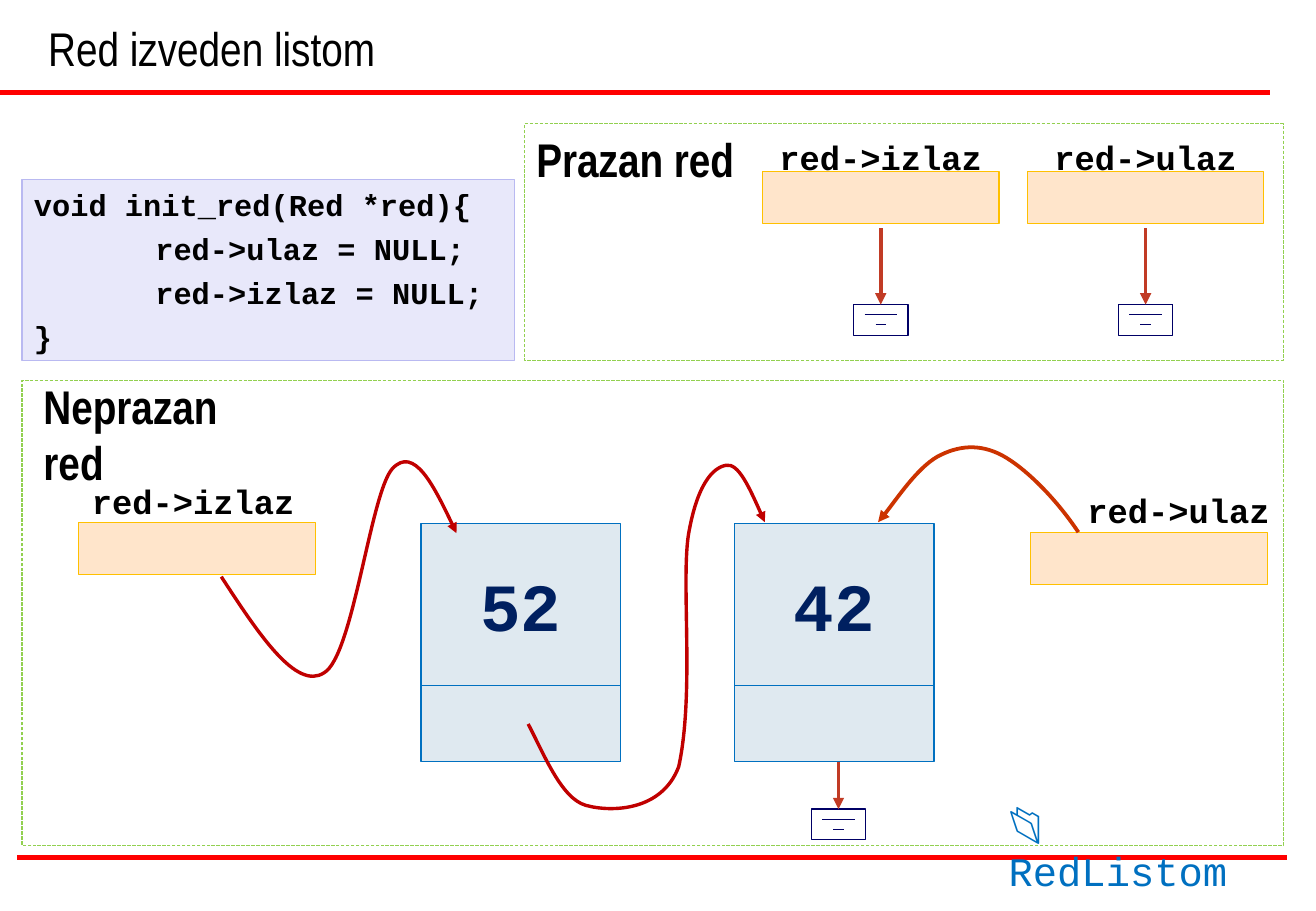
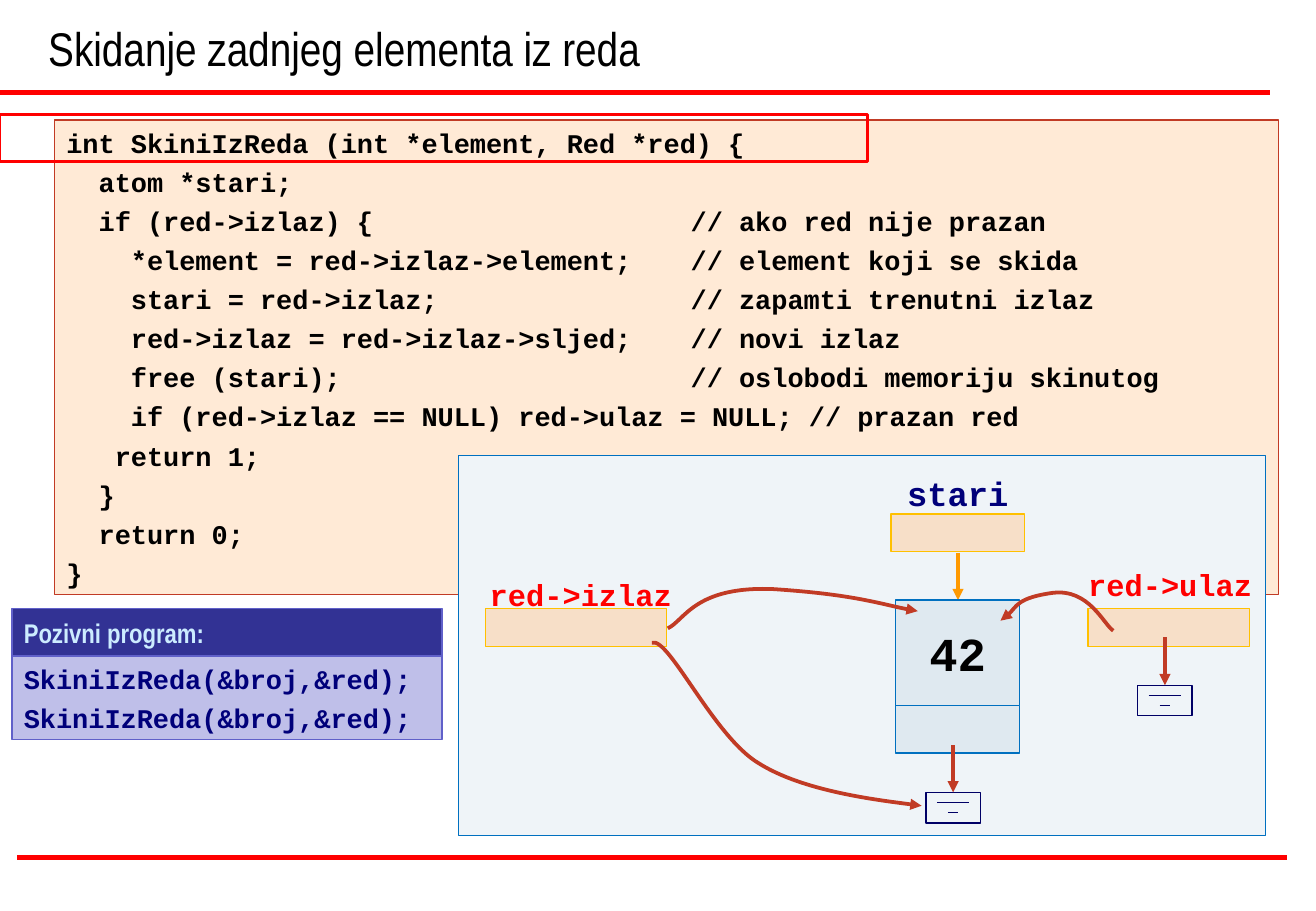
import lxml.etree
import pptx
import pptx.dml.color
import pptx.enum.dml
import pptx.enum.shapes
import pptx.enum.text
import pptx.oxml.ns
import pptx.util

Cm, Pt = pptx.util.Cm, pptx.util.Pt
qn = pptx.oxml.ns.qn
ALIGN = pptx.enum.text.PP_ALIGN
ANCHOR = pptx.enum.text.MSO_ANCHOR
RECT = pptx.enum.shapes.MSO_SHAPE.RECTANGLE
STRAIGHT = pptx.enum.shapes.MSO_CONNECTOR.STRAIGHT
DASH = pptx.enum.dml.MSO_LINE.SQUARE_DOT

# Shared colours and text formats
BLACK, RED, NAVY, BLUE = "000000", "FF0000", "00007A", "0070C0"
PEACH, GOLD, RUST, CRIMSON = "FFCC99", "FFC000", "C13B25", "C00000"
NODE_FILL, NULL_LINE, GREEN = "DFE9F0", "000066", "92D050"
VIOLET = "6060C9"
SANS, MONO = "Arial Narrow", "Courier New"
TITLE = {"name": SANS, "size": Pt(28), "bold": False}
CAPTION = {"name": SANS, "size": Pt(28), "bold": True}
LABEL = {"name": MONO, "size": Pt(20), "bold": True}
SMALL_LABEL = {**LABEL, "size": Pt(18)}
CODE = {**LABEL, "size": Pt(16)}


def color(hex_value):
    return pptx.dml.color.RGBColor.from_string(hex_value)


def set_line(line, hex_value, width, dashed=False, arrow=False):
    line.color.rgb = color(hex_value)
    line.width = Pt(width)
    if dashed:
        line.dash_style = DASH
    if arrow:
        lxml.etree.SubElement(line._get_or_add_ln(), qn("a:tailEnd"), type="triangle")


def set_fill(shape, hex_value, opacity):
    if hex_value is None:
        shape.fill.background()
        return
    shape.fill.solid()
    shape.fill.fore_color.rgb = color(hex_value)
    if opacity < 100:
        tone = shape.fill._xPr.find(".//" + qn("a:srgbClr"))
        lxml.etree.SubElement(tone, qn("a:alpha"), val=str(opacity * 1000))


def add_run(paragraph, text, fmt, ink):
    run = paragraph.add_run()
    run.text = text
    for attribute, value in fmt.items():
        setattr(run.font, attribute, value)
    run.font.color.rgb = color(ink)


def write(shape, lines, fmt, ink=BLACK, align=ALIGN.LEFT, anchor=ANCHOR.TOP,
          wrap=False, gap=0, tab=None):
    frame = shape.text_frame
    settings = {"word_wrap": wrap, "vertical_anchor": anchor,
                "margin_left": Cm(0.25), "margin_right": Cm(0.25),
                "margin_top": Cm(0.13), "margin_bottom": Cm(0.13)}
    for attribute, value in settings.items():
        setattr(frame, attribute, value)
    for number, text in enumerate(lines):
        paragraph = frame.add_paragraph() if number else frame.paragraphs[0]
        paragraph.alignment = align
        if number:
            paragraph.space_before = Pt(gap)
        if tab:
            stops = lxml.etree.SubElement(paragraph._p.get_or_add_pPr(), qn("a:tabLst"))
            lxml.etree.SubElement(stops, qn("a:tab"), pos=str(Cm(tab)), algn="l")
        add_run(paragraph, text, fmt, ink)


def add_box(shapes, x, y, w, h, fill, outline, width=0.75, opacity=100, dashed=False):
    box = shapes.add_shape(RECT, Cm(x), Cm(y), Cm(w), Cm(h))
    box.shadow.inherit = False
    set_fill(box, fill, opacity)
    set_line(box.line, outline, width, dashed)
    return box


def add_text(shapes, x, y, w, h, text, fmt, **layout):
    box = shapes.add_textbox(Cm(x), Cm(y), Cm(w), Cm(h))
    write(box, [text], fmt, **layout)
    return box


def add_line(shapes, x1, y1, x2, y2, ink, width, arrow=False):
    line = shapes.add_connector(STRAIGHT, Cm(x1), Cm(y1), Cm(x2), Cm(y2))
    set_line(line.line, ink, width, arrow=arrow)
    lxml.etree.SubElement(line._element.spPr, qn("a:effectLst"))


def add_curve(shapes, x, y, points, ink, width):
    """Smooth arrow: a start point, then three points for each Bézier piece."""
    spots = [(Cm(x + px), Cm(y + py)) for px, py in points]
    builder = shapes.build_freeform(*spots[0])
    builder.add_line_segments(spots[1:], close=False)
    arrow = builder.convert_to_shape()
    steps = arrow._element.xpath(".//a:lnTo")
    for first in range(0, len(steps), 3):
        bend = lxml.etree.Element(qn("a:cubicBezTo"))
        steps[first].addprevious(bend)
        for step in steps[first:first + 3]:
            bend.append(step[0])
            step.getparent().remove(step)
    arrow.shadow.inherit = False
    arrow.fill.background()
    set_line(arrow.line, ink, width, arrow=True)


# Parts of the queue drawings
def pointer(shapes, x, y, w, h, text, fmt, ink=BLACK, shift=0, lift=0.84):
    add_box(shapes, x, y, w, h, PEACH, GOLD, opacity=50)
    label_w = 4.8
    add_text(shapes, x + (w - label_w) / 2 + shift, y - lift, label_w, 1.12, text,
             fmt, ink=ink, align=ALIGN.CENTER)


def null_end(shapes, center, y, stem):
    w, h, step_x, step_y = 1.14, 0.64, 0.23, 0.21
    x = center - w / 2
    symbol = shapes.add_group_shape().shapes
    for i in range(3):
        add_line(symbol, x + i * step_x, y + i * step_y,
                 x + w - i * step_x, y + i * step_y, NULL_LINE, 0.75)
    add_box(symbol, x, y, w, h, None, NULL_LINE)
    add_line(shapes, center, y - stem, center, y, RUST, 2.25, arrow=True)


def node(shapes, x, y, w, value_h, next_h, value, fmt, ink):
    add_box(shapes, x, y + value_h, w, next_h, NODE_FILL, BLUE)
    value_box = add_box(shapes, x, y, w, value_h, NODE_FILL, BLUE)
    write(value_box, [value], fmt, ink, ALIGN.CENTER, ANCHOR.MIDDLE)


# Regions
def titled_slide(deck, title):
    shapes = deck.slides.add_slide(deck.slide_layouts[6]).shapes
    for x, y in ((0, 1.93), (0.36, 17.93)):
        add_line(shapes, x, y, x + 26.57, y, RED, 3)
    add_text(shapes, 0.76, 0, 25.81, 1.73, title, TITLE,
             anchor=ANCHOR.BOTTOM, wrap=True)
    return shapes


def empty_queue(shapes, x, y, w, h):
    add_box(shapes, x, y, w, h, None, GREEN, dashed=True)
    add_text(shapes, x, y, 4.65, 1.45, "Prazan red", CAPTION)
    pointer_w, pitch = 4.95, 5.54
    for i, name in enumerate(("red->izlaz", "red->ulaz")):
        left = x + 4.98 + i * pitch
        pointer(shapes, left, y + 0.99, pointer_w, 1.09, name, LABEL)
        null_end(shapes, left + pointer_w / 2, y + 3.78, 1.6)


def filled_queue(shapes, x, y, w, h):
    for i, value in enumerate(("52", "42")):
        node(shapes, x + 8.35 + i * 6.56, y + 3, 4.17, 3.38, 1.6, value,
             {**LABEL, "size": Pt(40)}, "002060")
    add_text(shapes, x + 0.2, y - 0.2, 5.61, 1.45, "Neprazan red", CAPTION)
    add_box(shapes, x, y, w, h, None, GREEN, dashed=True)
    pointer(shapes, x + 1.19, y + 2.97, 4.95, 1.09, "red->izlaz", LABEL,
            shift=-0.08, lift=0.99)
    pointer(shapes, x + 21.1, y + 3.18, 4.95, 1.09, "red->ulaz", LABEL,
            shift=0.62, lift=1.02)
    null_end(shapes, x + 17.08, y + 8.97, 0.99)

    # Arrows to the first node, between the nodes, and to the last node
    to_first = [(4.17, 4.11), (4.95, 5.31), (5.74, 6.5), (6.32, 6.12), (6.93, 5.77),
                (7.29, 2.36), (7.75, 1.85), (8.2, 1.37), (8.66, 2.29), (9.09, 3.2)]
    to_next = [(10.59, 7.19), (10.92, 7.82), (11.28, 8.74), (11.79, 8.89),
               (12.32, 9.04), (13.39, 9.02), (13.74, 8.08), (14.07, 6.55),
               (13.79, 4.29), (13.94, 3.25), (14.12, 2.18), (14.45, 1.83),
               (14.73, 1.78), (14.99, 1.73), (15.27, 2.36), (15.54, 2.97)]
    to_last = [(22.1, 3.18), (21.62, 2.46), (20.98, 1.83), (20.5, 1.57),
               (20.02, 1.32), (19.58, 1.37), (19.15, 1.6), (18.72, 1.85),
               (18.16, 2.69), (17.91, 2.97)]
    for points, ink, width in ((to_first, CRIMSON, 2), (to_next, CRIMSON, 2),
                               (to_last, "CC3300", 2.25)):
        add_curve(shapes, x, y, points, ink, width)

    # Folder reference
    reference = {"name": "Arial", "size": Pt(24)}
    folder = add_text(shapes, x + 19.12, y + 8.59, 7.16, 1.27, "📂 ", reference,
                      ink=BLUE, wrap=True)
    folder.text_frame.margin_left = Cm(1.52)
    add_run(folder.text_frame.paragraphs[0], "RedListom",
            {**reference, "name": MONO}, BLUE)


def removal_diagram(shapes, x, y, w, h):
    add_box(shapes, x, y, w, h, "EFF4F8", BLUE)
    pointer(shapes, x + 0.56, y + 3.2, 3.78, 0.79, "red->izlaz", SMALL_LABEL, RED,
            shift=0.1, lift=0.81)
    pointer(shapes, x + 13.16, y + 3.2, 3.38, 0.79, "red->ulaz", SMALL_LABEL, RED,
            shift=0.03, lift=1.02)
    pointer(shapes, x + 9.04, y + 1.22, 2.79, 0.79, "stari", LABEL, NAVY, lift=0.99)
    add_line(shapes, x + 10.44, y + 2.03, x + 10.44, y + 3.02, "FF9900", 2.25, arrow=True)
    node(shapes, x + 9.14, y + 3.02, 2.59, 2.21, 0.99, "42",
         {**LABEL, "size": Pt(28)}, BLACK)
    null_end(shapes, x + 10.34, y + 7.04, 0.99)
    null_end(shapes, x + 14.77, y + 4.8, 1)

    # Pointer arrows: last node, first node, new empty state
    for points in (
        [(13.69, 3.66), (13.49, 3.53), (13.18, 2.77), (12.42, 2.87),
         (11.68, 2.97), (11.56, 3.33), (11.33, 3.45)],
        [(4.37, 3.61), (4.72, 3.45), (4.93, 2.72), (6.58, 2.79),
         (8.26, 2.9), (8.97, 3.15), (9.6, 3.25)],
        [(4.04, 3.91), (4.39, 3.78), (5.33, 5.87), (6.27, 6.43),
         (7.19, 7.01), (9.04, 7.24), (9.68, 7.32)],
    ):
        add_curve(shapes, x, y, points, RUST, 2.25)


def calling_program(shapes, x, y, w, header_h, body_h):
    header = add_box(shapes, x, y, w, header_h, "323294", VIOLET)
    write(header, ["Pozivni program:"], {**CAPTION, "size": Pt(16)}, "CCECFF",
          anchor=ANCHOR.MIDDLE)
    body = add_box(shapes, x, y + header_h, w, body_h, VIOLET, VIOLET, opacity=40)
    write(body, ["SkiniIzReda(&broj,&red);"] * 2, CODE, NAVY, wrap=True, gap=4)


INIT_CODE = """void init_red(Red *red){
\tred->ulaz = NULL;
\tred->izlaz = NULL;
}"""

REMOVE_CODE = """int SkiniIzReda (int *element, Red *red) {
  atom *stari;
  if (red->izlaz) {\t// ako red nije prazan
    *element = red->izlaz->element;\t// element koji se skida
    stari = red->izlaz;\t// zapamti trenutni izlaz
    red->izlaz = red->izlaz->sljed;\t// novi izlaz
    free (stari);\t// oslobodi memoriju skinutog
    if (red->izlaz == NULL) red->ulaz = NULL; // prazan red
   return 1;
  }
  return 0;
}"""


def main():
    deck = pptx.Presentation()
    deck.slide_width, deck.slide_height = Cm(27.53), Cm(19.05)

    # Queue as a list
    shapes = titled_slide(deck, "Red izveden listom")
    empty_queue(shapes, 10.97, 2.59, 15.88, 4.95)
    filled_queue(shapes, 0.46, 7.95, 26.39, 9.73)
    init_box = add_box(shapes, 0.46, 3.76, 10.31, 3.78, "E8E8FA", "B9B9F1")
    write(init_box, INIT_CODE.split("\n"), SMALL_LABEL, wrap=True, gap=4.5, tab=2.54)

    # Removing an element
    shapes = titled_slide(deck, "Skidanje zadnjeg elementa iz reda")
    remove_box = add_box(shapes, 1.14, 2.51, 25.6, 9.93, PEACH, RUST, opacity=40)
    write(remove_box, REMOVE_CODE.split("\n"), CODE, wrap=True, gap=4, tab=13.06)
    removal_diagram(shapes, 9.6, 9.53, 16.87, 7.95)
    calling_program(shapes, 0.25, 12.73, 9, 0.99, 1.75)
    add_box(shapes, 0, 2.39, 18.14, 0.99, None, RED, width=1.75)

    deck.save("out.pptx")


if __name__ == "__main__":
    main()
